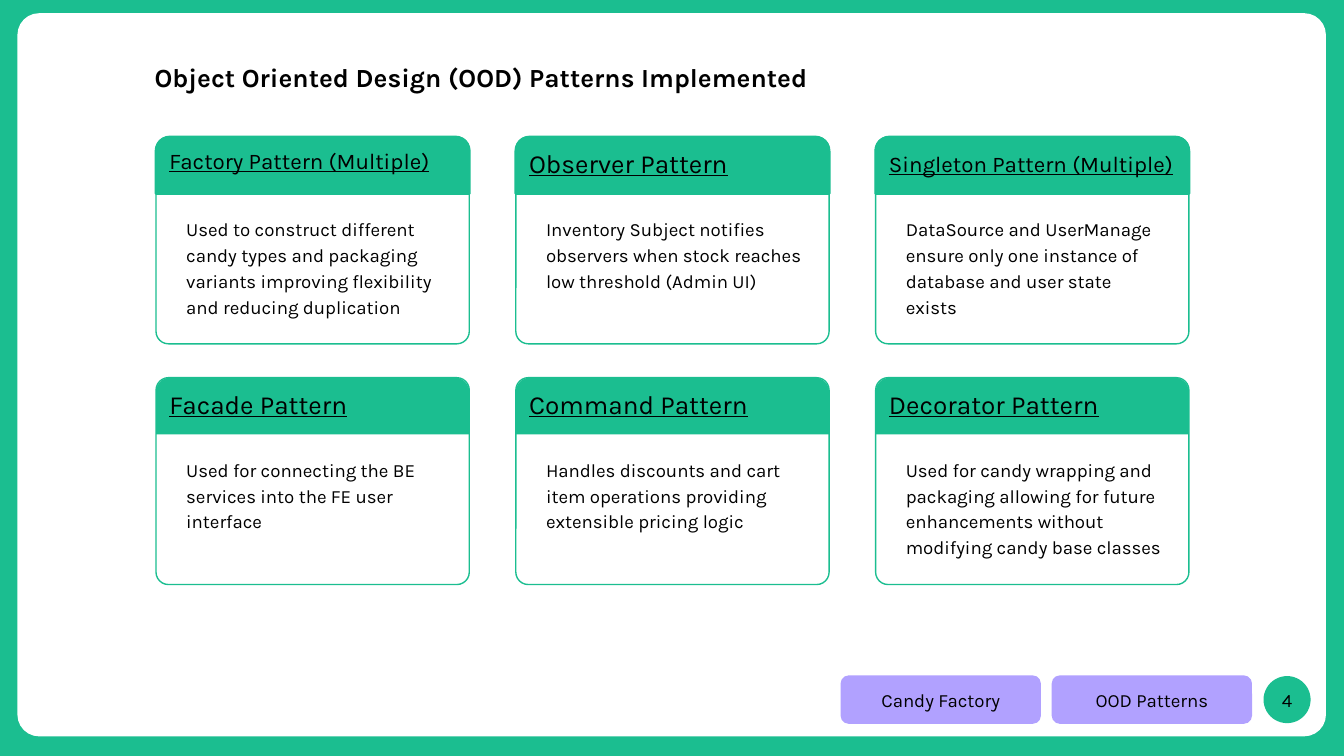
from dataclasses import dataclass

from pptx import Presentation
from pptx.dml.color import RGBColor
from pptx.enum.shapes import MSO_SHAPE
from pptx.enum.text import MSO_ANCHOR, MSO_AUTO_SIZE, PP_ALIGN
from pptx.util import Cm, Pt

GREEN, LILAC, WHITE, BLACK = "1BBE90", "B1A1FF", "FFFFFF", "000000"
FONT = "Karla"
COLUMNS = 3
CARD_LEFT, CARD_TOP = 2.95, 2.59
CARD_WIDTH, CARD_HEIGHT, HEADER_HEIGHT = 5.92, 3.91, 1.07
COLUMN_STEP, ROW_STEP = 6.8, 4.55


@dataclass
class Pattern:
    """One design pattern and the format of its heading."""
    name: str
    text: str
    size: int = 14
    width: float = 5.61
    lift: float = 0.05


PATTERNS = [
    Pattern("Factory Pattern (Multiple)",
            "Used to construct different candy types and packaging variants "
            "improving flexibility and reducing duplication", size=12),
    Pattern("Observer Pattern",
            "Inventory Subject notifies observers when stock reaches low threshold (Admin UI)"),
    Pattern("Singleton Pattern (Multiple)",
            "DataSource and UserManage ensure only one instance of database and user state exists",
            size=12, width=6.5, lift=0),
    Pattern("Facade Pattern",
            "Used for connecting the BE services into the FE user interface"),
    Pattern("Command Pattern",
            "Handles discounts and cart item operations providing extensible pricing logic"),
    Pattern("Decorator Pattern",
            "Used for candy wrapping and packaging allowing for future enhancements "
            "without modifying candy base classes"),
]


def color(value):
    """Turn a hex string into a colour."""
    return RGBColor.from_string(value)


def write(shape, text, size=10, bold=False, underline=False, align=PP_ALIGN.LEFT,
          anchor=MSO_ANCHOR.TOP, inset=0.25, spacing=1.0, after=0):
    """Put one formatted paragraph into a shape."""
    frame = shape.text_frame
    frame.word_wrap = True
    frame.auto_size = MSO_AUTO_SIZE.NONE
    frame.vertical_anchor = anchor
    frame.margin_left = frame.margin_right = Cm(inset)
    frame.margin_top = frame.margin_bottom = Cm(inset)
    para = frame.paragraphs[0]
    para.alignment = align
    para.line_spacing = spacing
    para.space_before, para.space_after = Pt(0), Pt(after)
    span = para.add_run()
    span.text = text
    span.font.name, span.font.size = FONT, Pt(size)
    span.font.bold, span.font.underline = bold, underline
    span.font.color.rgb = color(BLACK)


def add_panel(page, kind, left, top, width, height, fill, line=None, weight=0.75, corners=()):
    """Draw a filled preset shape, with an outline if a line colour is given."""
    panel = page.shapes.add_shape(kind, Cm(left), Cm(top), Cm(width), Cm(height))
    panel.shadow.inherit = False
    for index, corner in enumerate(corners):
        panel.adjustments[index] = corner
    panel.fill.solid()
    panel.fill.fore_color.rgb = color(fill)
    if line:
        panel.line.color.rgb = color(line)
        panel.line.width = Pt(weight)
    else:
        panel.line.fill.background()
    return panel


def add_text(page, text, left, top, width, height, **style):
    """Place a text box."""
    box = page.shapes.add_textbox(Cm(left), Cm(top), Cm(width), Cm(height))
    write(box, text, **style)


def add_title(page, text):
    """Move, format and fill the title placeholder, in front of the frame."""
    title = page.shapes.title
    title.left, title.top, title.width, title.height = Cm(2.67), Cm(0.91), Cm(14.2), Cm(1.09)
    write(title, text, size=14, bold=True, anchor=MSO_ANCHOR.MIDDLE)
    title.element.getparent().append(title.element)


def add_card(page, pattern, column, row):
    """Draw the card of one pattern at its place in the grid."""
    left = CARD_LEFT + column * COLUMN_STEP
    top = CARD_TOP + row * ROW_STEP
    add_panel(page, MSO_SHAPE.ROUNDED_RECTANGLE, left, top, CARD_WIDTH, CARD_HEIGHT,
              WHITE, GREEN, corners=[0.06])
    add_panel(page, MSO_SHAPE.ROUND_2_SAME_RECTANGLE, left, top, CARD_WIDTH, HEADER_HEIGHT,
              GREEN, GREEN if row == 0 else None, weight=1.5, corners=[0.25, 0])
    add_text(page, pattern.name, left, top - pattern.lift, pattern.width, 1.04,
             size=pattern.size, underline=True)
    add_text(page, pattern.text, left + 0.32, top + 1.22, 5.38, 2.26, spacing=1.15, after=10)


def add_label(page, kind, text, left, width, fill, line=None, corners=()):
    """Draw a footer shape with centred text."""
    label = add_panel(page, kind, left, 12.78, width, 0.89, fill, line, corners=corners)
    write(label, text, align=PP_ALIGN.CENTER, anchor=MSO_ANCHOR.MIDDLE, inset=0)


def main():
    """Build and save the deck."""
    deck = Presentation()
    deck.slide_width, deck.slide_height = Cm(25.4), Cm(14.29)
    page = deck.slides.add_slide(deck.slide_layouts[5])
    page.background.fill.solid()
    page.background.fill.fore_color.rgb = color(GREEN)
    add_panel(page, MSO_SHAPE.ROUNDED_RECTANGLE, 0.33, 0.25, 24.73, 13.67, WHITE, corners=[0.03])
    add_title(page, "Object Oriented Design (OOD) Patterns Implemented")
    for index, pattern in enumerate(PATTERNS):
        row, column = divmod(index, COLUMNS)
        add_card(page, pattern, column, row)
    for index, text in enumerate(["Candy Factory", "OOD Patterns"]):
        add_label(page, MSO_SHAPE.ROUNDED_RECTANGLE, text, 15.9 + index * 3.99, 3.76,
                  LILAC, LILAC, corners=[0.16])
    add_label(page, MSO_SHAPE.OVAL, "4", 23.88, 0.89, GREEN)
    deck.save("out.pptx")


if __name__ == "__main__":
    main()
